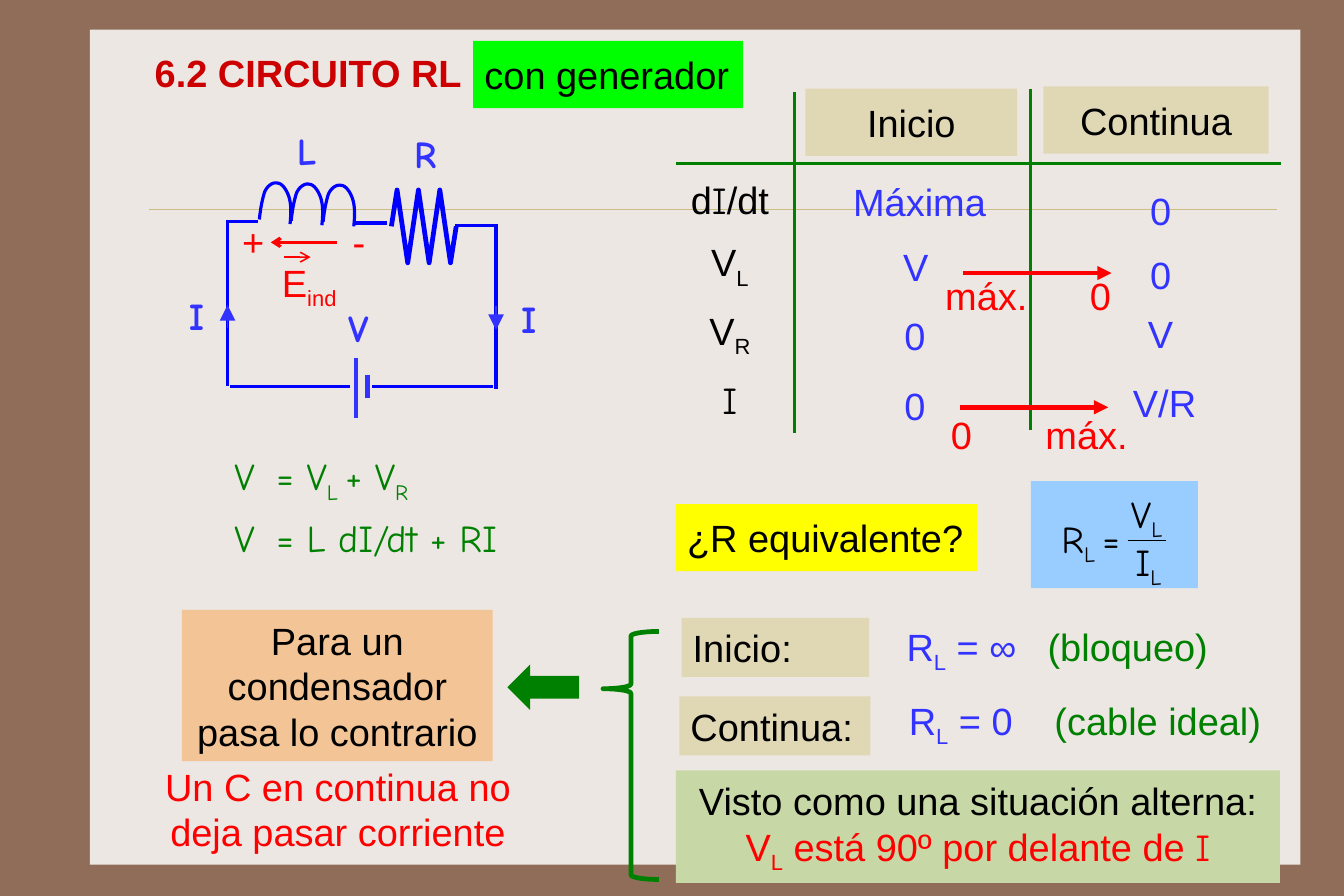
from dataclasses import dataclass
from typing import Optional

from lxml import etree
from pptx import Presentation, util as u
from pptx.dml import color
from pptx.enum import shapes, text
from pptx.oxml import ns


@dataclass(frozen=True)
class Theme:
    frame: str = "906D58"
    panel: str = "EDE7E3"
    rule: str = "CBBD83"
    wire: str = "0000FF"
    blue: str = "3333FF"
    red: str = "FF0000"
    head: str = "CC0000"
    green: str = "008000"
    black: str = "000000"
    sand: str = "E0D7B5"
    yellow: str = "FFFF00"
    lime: str = "00FF00"
    sky: str = "99CCFF"
    peach: str = "F3C495"
    sage: str = "C7D7A5"
    sans: str = "Arial"
    comic: str = "Comic Neue"
    size: int = 24


T = Theme()
HIGH = 78.75  # grid of tenths of an inch
WIDE = 1.5 * HIGH


@dataclass(frozen=True)
class Run:
    txt: str
    sub: bool = False
    tint: Optional[str] = None
    face: Optional[str] = None


@dataclass(frozen=True)
class Note:
    x: float
    y: float
    w: float
    h: float
    runs: tuple
    tint: str = T.black
    face: str = T.sans
    fill: Optional[str] = None
    mid: bool = False
    bold: bool = False


@dataclass(frozen=True)
class Line:
    x1: float
    y1: float
    x2: float
    y2: float
    tint: str = T.wire
    wide: float = 2
    tip: Optional[str] = None
    span: str = "med"


def grid(n: float) -> int:
    return u.Inches(n / 10)


def rgb(tint: str) -> color.RGBColor:
    return color.RGBColor.from_string(tint)


def paint(shape, fill: Optional[str] = None, edge: Optional[str] = None, wide: float = 2) -> None:
    shape.shadow.inherit = False
    if fill:
        shape.fill.solid()
        shape.fill.fore_color.rgb = rgb(fill)
    else:
        shape.fill.background()
    if edge:
        shape.line.color.rgb = rgb(edge)
        shape.line.width = u.Pt(wide)
    else:
        shape.line.fill.background()


def block(slide, kind, x: float, y: float, w: float, h: float, **look):
    shape = slide.shapes.add_shape(kind, *map(grid, (x, y, w, h)))
    paint(shape, **look)
    return shape


def box(slide, x: float, y: float, w: float, h: float, fill: str):
    return block(slide, shapes.MSO_SHAPE.RECTANGLE, x, y, w, h, fill=fill)


def draw(slide, line: Line) -> None:
    ends = map(grid, (line.x1, line.y1, line.x2, line.y2))
    wire = slide.shapes.add_connector(shapes.MSO_CONNECTOR.STRAIGHT, *ends)
    wire.line.color.rgb = rgb(line.tint)
    wire.line.width = u.Pt(line.wide)
    if line.tip:
        etree.SubElement(wire.line._get_or_add_ln(), ns.qn("a:tailEnd"),
                         type=line.tip, w=line.span, len=line.span)
    etree.SubElement(wire._element.spPr, ns.qn("a:effectLst"))


def trace(slide, dots: list, wide: float) -> None:
    start, *rest = [(grid(x), grid(y)) for x, y in dots]
    form = slide.shapes.build_freeform(*start)
    form.add_line_segments(rest, close=False)
    paint(form.convert_to_shape(), edge=T.wire, wide=wide)


def bend(a: tuple, b: tuple, c: tuple, d: tuple, steps: int = 8) -> list:
    marks = [n / steps for n in range(1, steps + 1)]
    return [tuple((1 - t) ** 3 * p + 3 * t * (1 - t) ** 2 * q + 3 * t * t * (1 - t) * r + t ** 3 * s
                  for p, q, r, s in zip(a, b, c, d)) for t in marks]


def fill_text(frame, note: Note) -> None:
    para = frame.paragraphs[0]
    para.alignment = text.PP_ALIGN.CENTER if note.mid else text.PP_ALIGN.LEFT
    for part in note.runs:
        run = para.add_run()
        run.text = part.txt
        font = run.font
        font.name, font.size, font.bold = part.face or note.face, u.Pt(T.size), note.bold
        font.color.rgb = rgb(part.tint or note.tint)
        if part.sub:
            run._r.get_or_add_rPr().set("baseline", "-25000")


def write(slide, note: Note) -> None:
    area = (note.x, note.y, note.w, note.h)
    if note.fill:
        frame = box(slide, *area, note.fill).text_frame
    else:
        frame = slide.shapes.add_textbox(*map(grid, area)).text_frame
    frame.word_wrap = True
    frame.vertical_anchor = text.MSO_ANCHOR.MIDDLE if note.fill else text.MSO_ANCHOR.TOP
    side, top = (0.8, 0.4) if note.face == T.comic else (1, 0.9)
    frame.margin_left = frame.margin_right = grid(side)
    frame.margin_top = frame.margin_bottom = grid(top)
    fill_text(frame, note)


def plain(x: float, y: float, w: float, txt: str, tint: str) -> Note:
    return Note(x, y, w, 5.9, (Run(txt),), tint)


def sign(x: float, y: float, w: float, *runs: Run, tint: str = T.blue, bold: bool = False) -> Note:
    return Note(x, y, w, 4.9, runs, tint, T.comic, bold=bold)


LOW_L, LOW_R = Run("L", True), Run("R", True)
AMP = Run("I", face=T.comic)

# Circuit
WIRES = [
    Line(43.7, 19.8, 40, 19.8), Line(30.8, 34, 20.2, 34), Line(43.3, 34, 32.7, 34),
    Line(20, 19.4, 20, 33.9), Line(43.6, 19.7, 43.6, 34.2),
    Line(19.9, 19.5, 22.7, 19.5), Line(31.2, 19.6, 34, 19.6),
    Line(31.3, 31.5, 31.3, 36.7, T.blue, 3), Line(32.3, 33, 32.3, 35, T.blue, 3),
    Line(20, 28.8, 20, 26.8, T.blue, 1, "triangle", "lg"),
    Line(43.6, 26.9, 43.6, 29, T.blue, 1, "triangle", "lg"),
    Line(29.6, 21.3, 23.8, 21.3, T.red, 2, "arrow"), Line(25, 22.6, 27.3, 22.6, T.red, 1, "arrow"),
]
ARC = [((0, 3.3), (0.1, 2.3), (0.3, 1.3), (0.5, 0.8)), ((0.5, 0.8), (0.8, 0.2), (1.3, 0), (1.6, 0.1)),
       ((1.6, 0.1), (2, 0.1), (2.4, 0.7), (2.6, 1.3)), ((2.6, 1.3), (2.8, 1.9), (2.8, 2.8), (2.7, 3.7))]
SIGNS = [sign(x, y, w, Run(txt), bold=True) for x, y, w, txt in [
    (15.8, 25.3, 3.5, "I"), (45, 25.6, 3.5, "I"), (35.6, 11.1, 3.8, "R"),
    (25.3, 10.8, 3.5, "L"), (29.8, 26.4, 4, "V")]]
FIELD = [plain(20.3, 18.3, 4.2, "+", T.red), plain(30, 18.3, 3.5, "-", T.red),
         Note(23.8, 21.9, 8, 5.9, (Run("E"), Run("ind", True)), T.red)]
LAWS = [
    sign(19.8, 39.4, 4, Run("V"), tint=T.green), sign(19.8, 44.8, 4, Run("V"), tint=T.green),
    sign(23.5, 39.4, 17, Run("= V"), Run("L ", True), Run("+ V"), LOW_R, tint=T.green),
    sign(23.5, 44.8, 24, Run("= L dI/dt + RI"), tint=T.green),
]

# Table of start and steady values
HEADS = [Note(70.8, 7.8, 18.6, 5.9, (Run("Inicio"),), fill=T.sand, mid=True),
         Note(91.7, 7.6, 19.8, 5.9, (Run("Continua"),), fill=T.sand, mid=True)]
ROWS = [
    (14.6, (Run("d"), AMP, Run("/dt")), (74, 14.8, 14.4, "Máxima"), (100.1, 15.6, 4.1, "0")),
    (20.1, (Run("V"), LOW_L), (78.4, 20.5, 4.4, "V"), (100.1, 21.2, 4.1, "0")),
    (26.1, (Run("V"), LOW_R), (78.5, 26.6, 4.1, "0"), (99.9, 26.4, 4.4, "V")),
    (32.2, (AMP,), (78.5, 32.7, 4.1, "0"), (98.6, 32.5, 8, "V/R")),
]
RULES = [Line(59.4, 14.4, 112.6, 14.4, T.green), Line(69.8, 8.1, 69.8, 38.1, T.green),
         Line(90.6, 7.8, 90.6, 37.8, T.green)]
TRENDS = [Line(84.6, 24, 97.7, 24, T.red, 3, "triangle"), Line(84.4, 35.8, 97.4, 35.8, T.red, 3, "triangle")]
LIMITS = [plain(*spot, T.red) for spot in [(82.1, 23.1, 10, "máx."), (94.8, 23.1, 4.1, "0"),
                                           (82.6, 35.3, 4.1, "0"), (90.9, 35.3, 10, "máx.")]]

# Equivalent resistance and conclusions
RATIO = [sign(92.5, 44.9, 8, Run("R"), Run("L ", True), Run("="), tint=T.black),
         sign(98.6, 42.7, 5.2, Run("V"), LOW_L, tint=T.black),
         sign(99, 46.9, 5, Run("I"), LOW_L, tint=T.black)]
CASES = [
    Note(59.9, 54.3, 16.5, 5.2, (Run("Inicio:"),), fill=T.sand),
    Note(59.7, 61.2, 16.8, 5.2, (Run("Continua:"),), fill=T.sand),
    Note(78.7, 53.9, 13, 5.9, (Run("R"), LOW_L, Run(" = ∞")), T.blue),
    Note(78.9, 60.4, 13, 5.9, (Run("R"), LOW_L, Run(" = 0")), T.blue),
    plain(91.1, 53.9, 17, "(bloqueo)", T.green), plain(91.7, 60.4, 21, "(cable ideal)", T.green),
]
ENDS = [
    Note(41.6, 3.6, 23.7, 5.9, (Run("con generador"),), fill=T.lime),
    Note(59.4, 44.3, 26.5, 5.9, (Run("¿R equivalente?"),), fill=T.yellow),
    Note(16, 53.6, 27.3, 13.3, (Run("Para un condensador pasa lo contrario"),), fill=T.peach, mid=True),
    Note(11.5, 66.2, 36.4, 9.9, (Run("Un C en continua no deja pasar corriente"),), T.red, mid=True),
    Note(59.4, 67.7, 53.1, 9.9, (
        Run("Visto como una situación alterna: "), Run("V", tint=T.red), Run("L", True, T.red),
        Run(" está 90º por delante de ", tint=T.red), Run("I", tint=T.red, face=T.comic)),
        fill=T.sage, mid=True),
]


def main() -> None:
    deck = Presentation()
    deck.slide_width, deck.slide_height = grid(WIDE), grid(HIGH)
    slide = deck.slides.add_slide(deck.slide_layouts[5])

    # Backdrop
    slide.background.fill.solid()
    slide.background.fill.fore_color.rgb = rgb(T.frame)
    box(slide, 7.9, 2.6, 106.4, 73.4, T.panel)
    draw(slide, Line(13.1, 18.4, 112.2, 18.4, T.rule, 0.25))

    # Title, raised above the panel
    title = slide.shapes.title
    slide.shapes._spTree.append(title._element)
    title.left, title.top, title.width, title.height = map(grid, (12.5, 3.8, 30.7, 5.1))
    frame = title.text_frame
    frame.auto_size, frame.word_wrap = text.MSO_AUTO_SIZE.NONE, True
    frame.vertical_anchor = text.MSO_ANCHOR.MIDDLE
    frame.margin_left = frame.margin_right = grid(1.1)
    frame.margin_top = frame.margin_bottom = grid(0.5)
    fill_text(frame, Note(0, 0, 0, 0, (Run("6.2 CIRCUITO RL"),), T.head, bold=True))

    # Coil and resistor
    for turn in range(3):
        dots = [ARC[0][0]] + [dot for part in ARC for dot in bend(*part)]
        trace(slide, [(22.8 + 2.8 * turn + x, 16 + 0.1 * turn + y) for x, y in dots], 2)
    peaks = [(34.9 + 0.94 * n, 23.1 if n % 2 else 16.7) for n in range(6)]
    trace(slide, [(34.4, 19.9), *peaks, (40.1, 19.9)], 3)

    # Brace, arrow and fraction
    brace = block(slide, shapes.MSO_SHAPE.LEFT_BRACE, 53, 55.5, 4.9, 21.8, edge=T.green, wide=3)
    brace.adjustments[0], brace.adjustments[1] = 0.083, 0.231
    block(slide, shapes.MSO_SHAPE.LEFT_ARROW, 44.6, 58.4, 6.3, 4, fill=T.green)
    box(slide, 90.6, 42.3, 14.7, 9.4, T.sky)

    # Lines and text
    cells = []
    for y, label, first, last in ROWS:
        cells.append(Note(59.4, y, 9.5, 5.9, label, mid=True))
        cells += [plain(*first, T.blue), plain(*last, T.blue)]
    for line in WIRES + RULES + TRENDS + [Line(99.1, 47.5, 102.5, 47.5, T.black, 1)]:
        draw(slide, line)
    for note in SIGNS + FIELD + LAWS + HEADS + cells + LIMITS + RATIO + CASES + ENDS:
        write(slide, note)
    deck.save("out.pptx")


if __name__ == "__main__":
    main()
